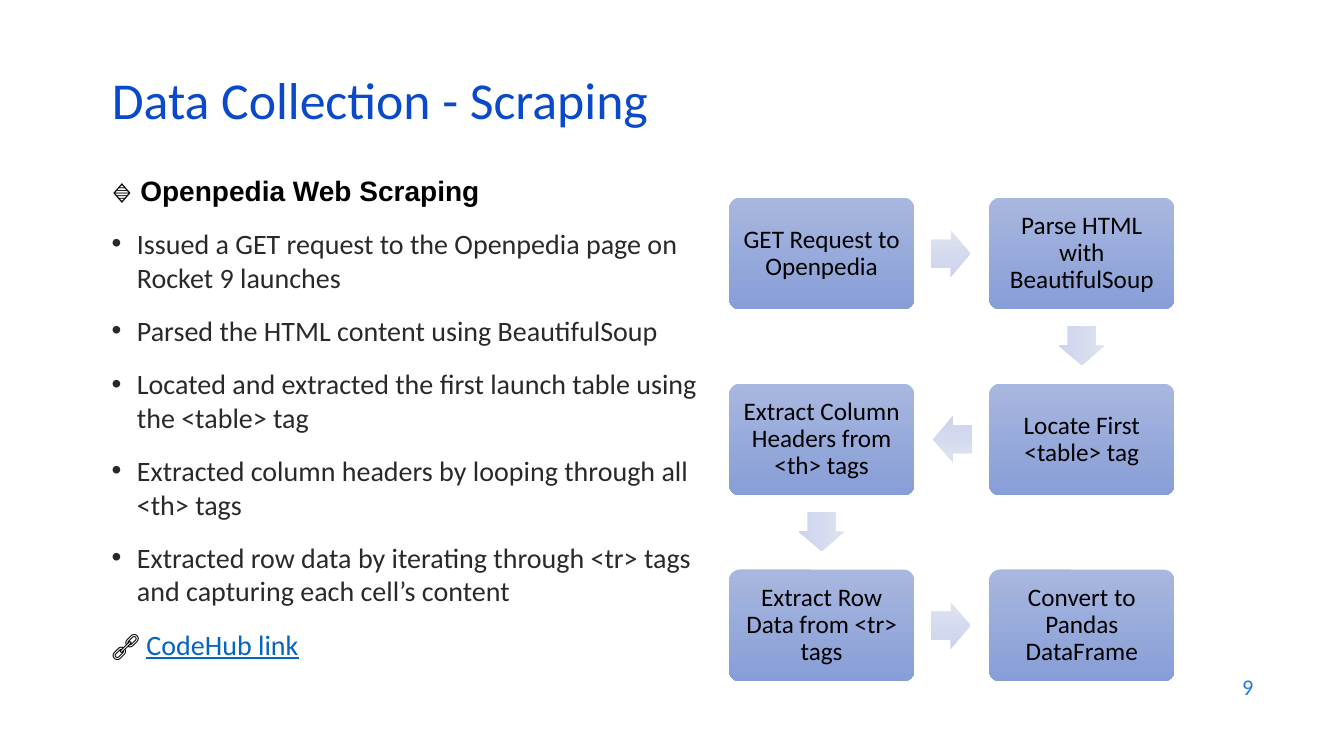
from lxml import etree
from pptx import Presentation
from pptx.dml.color import RGBColor
from pptx.enum.shapes import MSO_SHAPE as Preset
from pptx.enum.text import MSO_ANCHOR as Anchor, PP_ALIGN as Align
from pptx.oxml.ns import qn
from pptx.util import Inches, Pt

COLORS = {
    "title": "0B49CB", "heading": "000000", "body": "292929", "link": "0563C1",
    "number": "1C7DDB", "card_top": "A8B7DF", "card_bottom": "889ED7",
    "arrow_top": "DEE3F2", "arrow_bottom": "CCD3EB",
}
HEADING = "🔹 Openpedia Web Scraping"
BULLETS = [
    "Issued a GET request to the Openpedia page on Rocket 9 launches",
    "Parsed the HTML content using BeautifulSoup",
    "Located and extracted the first launch table using the <table> tag",
    "Extracted column headers by looping through all <th> tags",
    "Extracted row data by iterating through <tr> tags and capturing each cell’s content",
]
# Steps in reading order of the flow: label, column, row
STEPS = [
    ("GET Request to Openpedia", 0, 0),
    ("Parse HTML with BeautifulSoup", 1, 0),
    ("Locate First <table> tag", 1, 1),
    ("Extract Column Headers from <th> tags", 0, 1),
    ("Extract Row Data from <tr> tags", 0, 2),
    ("Convert to Pandas DataFrame", 1, 2),
]
CARD_WIDTH, CARD_HEIGHT = 1.84, 1.11
ARROW_LENGTH, ARROW_WIDTH, ARROW_SETBACK = 0.39, 0.46, 0.01


def color(name):
    return RGBColor.from_string(COLORS[name])


def style(paragraph, size, color_name, name="Calibri", bold=False):
    font = paragraph.font
    font.size, font.name, font.bold = Pt(size), name, bold
    font.color.rgb = color(color_name)


def place(shape, left, top, width, height):
    shape.left, shape.top = Inches(left), Inches(top)
    shape.width, shape.height = Inches(width), Inches(height)


def add_text_frame(slide, box):
    frame = slide.shapes.add_textbox(*map(Inches, box)).text_frame
    frame.word_wrap = True
    return frame


def add_title(slide, box):
    title = slide.shapes.title
    place(title, *box)
    title.text_frame.vertical_anchor = Anchor.MIDDLE
    paragraph = title.text_frame.paragraphs[0]
    paragraph.text = "Data Collection - Scraping"
    paragraph.alignment = Align.LEFT
    paragraph.line_spacing = 0.7
    style(paragraph, 37, "title")


def set_bullet(paragraph, indent):
    properties = paragraph._p.get_or_add_pPr()
    properties.set("marL", str(Inches(indent)))
    properties.set("indent", str(-Inches(indent)))
    font = etree.SubElement(properties, qn("a:buFont"))
    font.set("typeface", "Arial")
    etree.SubElement(properties, qn("a:buChar")).set("char", "•")


def add_notes_column(slide, box):
    """Heading, bulleted steps and the closing link line."""
    frame = add_text_frame(slide, box)
    heading = frame.paragraphs[0]
    heading.text = HEADING
    style(heading, 20, "heading", "Arial", True)

    for text in BULLETS:
        paragraph = frame.add_paragraph()
        paragraph.text = text
        set_bullet(paragraph, 0.25)
        paragraph.space_before = Pt(14)
        style(paragraph, 20, "body")

    closing = frame.add_paragraph()
    closing.space_before = Pt(14)
    style(closing, 20, "heading")
    closing.add_run().text = "🔗 "
    link = closing.add_run()
    link.text = "CodeHub link"
    link.font.underline = True
    link.font.color.rgb = color("link")


def add_gradient_shape(slide, preset, box, top_color, bottom_color):
    shape = slide.shapes.add_shape(preset, *map(Inches, box))
    shape.shadow.inherit = False
    shape.line.fill.background()
    shape.fill.gradient()
    shape.fill.gradient_angle = 270
    for stop, name in zip(shape.fill.gradient_stops, (top_color, bottom_color)):
        stop.color.rgb = color(name)
    return shape


def add_card(slide, text, left, top):
    card = add_gradient_shape(slide, Preset.ROUNDED_RECTANGLE,
                              (left, top, CARD_WIDTH, CARD_HEIGHT),
                              "card_top", "card_bottom")
    card.adjustments[0] = 0.1
    frame = card.text_frame
    frame.word_wrap = True
    frame.vertical_anchor = Anchor.MIDDLE
    frame.margin_left = frame.margin_right = Inches(0.07)
    frame.margin_top = frame.margin_bottom = Inches(0.07)
    paragraph = frame.paragraphs[0]
    paragraph.text = text
    paragraph.alignment = Align.CENTER
    paragraph.line_spacing = 0.9
    style(paragraph, 18, "heading")


def add_arrow(slide, start, end):
    """Block arrow midway between two cards given by their top-left corners."""
    (x1, y1), (x2, y2) = start, end
    step_x, step_y = (x2 > x1) - (x2 < x1), (y2 > y1) - (y2 < y1)
    center_x = (x1 + x2 + CARD_WIDTH) / 2 - ARROW_SETBACK * step_x
    center_y = (y1 + y2 + CARD_HEIGHT) / 2 - ARROW_SETBACK * step_y
    box = (center_x - ARROW_LENGTH / 2, center_y - ARROW_WIDTH / 2,
           ARROW_LENGTH, ARROW_WIDTH)
    arrow = add_gradient_shape(slide, Preset.RIGHT_ARROW, box,
                               "arrow_top", "arrow_bottom")
    arrow.adjustments[0], arrow.adjustments[1] = 0.6, 0.5
    arrow.rotation = {(1, 0): 0, (0, 1): 90, (-1, 0): 180}[step_x, step_y]


def add_flow(slide, box):
    """Snaking flow of cards on a grid of two columns and three rows."""
    left, top, width, height = box
    pitch_x, pitch_y = width - CARD_WIDTH, (height - CARD_HEIGHT) / 2
    corners = [(left + column * pitch_x, top + row * pitch_y)
               for _, column, row in STEPS]
    for (text, _, _), corner in zip(STEPS, corners):
        add_card(slide, text, *corner)
    for start, end in zip(corners, corners[1:]):
        add_arrow(slide, start, end)


def add_slide_number(slide, box):
    frame = add_text_frame(slide, box)
    frame.vertical_anchor = Anchor.MIDDLE
    paragraph = frame.paragraphs[0]
    paragraph.text = "9"
    paragraph.alignment = Align.RIGHT
    style(paragraph, 16, "number")


def main():
    presentation = Presentation()
    presentation.slide_width = Inches(13.33)
    presentation.slide_height = Inches(7.5)
    slide = presentation.slides.add_slide(presentation.slide_layouts[5])
    add_title(slide, (1.01, 0.76, 11.5, 0.6))
    add_notes_column(slide, (1.01, 1.67, 6.03, 5.48))
    add_flow(slide, (7.23, 1.96, 4.42, 4.8))
    add_slide_number(slide, (9.53, 6.59, 3, 0.44))
    presentation.save("out.pptx")


if __name__ == "__main__":
    main()
